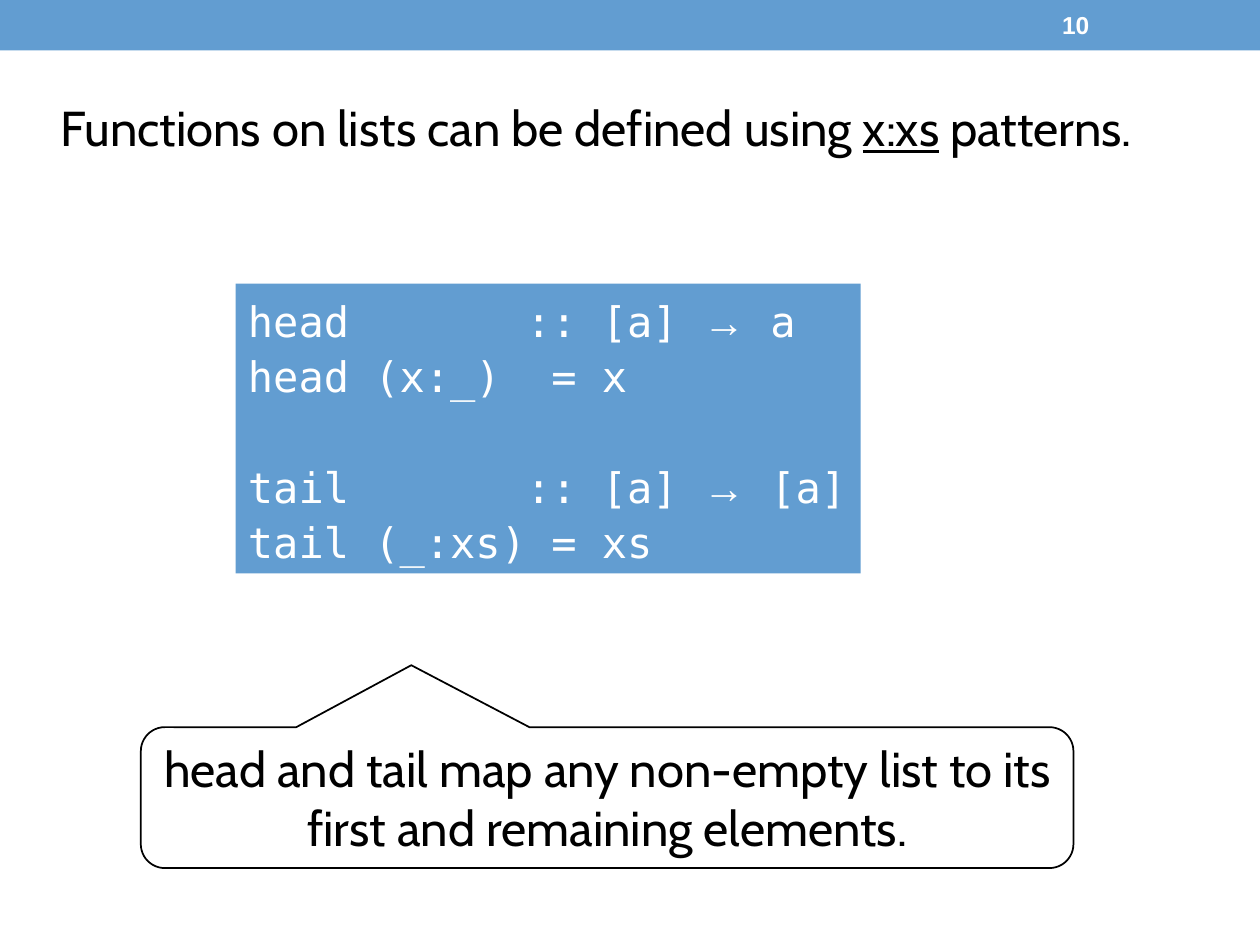
from dataclasses import dataclass

from pptx import Presentation
from pptx.dml.color import RGBColor
from pptx.enum.shapes import MSO_SHAPE as SHAPE
from pptx.enum.text import MSO_ANCHOR as ANCHOR, MSO_AUTO_SIZE as FIT, PP_ALIGN as ALIGN
from pptx.util import Cm, Pt


@dataclass(frozen=True)
class Theme:
    blue: RGBColor = RGBColor(0x62, 0x9D, 0xD1)
    black: RGBColor = RGBColor(0, 0, 0)
    white: RGBColor = RGBColor(255, 255, 255)
    body: str = "Cabin"
    code: str = "DejaVu Sans Mono"
    symbol: str = "Times New Roman"
    number: str = "Arial"
    body_size: int = 28
    code_size: int = 24
    number_size: int = 14


T = Theme()


def write(tf, lines, font=T.body, size=T.body_size, color=T.black, bold=False,
          align=ALIGN.LEFT, spacing=1.0, wrap=True):
    """Fill a frame; each line is a list of (text, font overrides) runs."""
    tf.word_wrap = wrap
    tf.auto_size = FIT.NONE
    tf.vertical_anchor = ANCHOR.MIDDLE
    for i, runs in enumerate(lines):
        p = tf.paragraphs[0] if i == 0 else tf.add_paragraph()
        p.alignment, p.line_spacing = align, spacing
        p.font.size = Pt(size)
        for text, extra in runs:
            r = p.add_run()
            r.text = text
            r.font.name = extra.get("font", font)
            r.font.size = Pt(size)
            r.font.bold = bold
            r.font.underline = extra.get("underline", False)
            r.font.color.rgb = color


def add_box(s, kind, left, top, width, height, fill=None, line=None):
    sp = s.shapes.add_shape(kind, Cm(left), Cm(top), Cm(width), Cm(height))
    sp.shadow.inherit = False
    if fill is None:
        sp.fill.background()
    else:
        sp.fill.solid()
        sp.fill.fore_color.rgb = fill
    if line is None:
        sp.line.fill.background()
    else:
        sp.line.color.rgb = line
        sp.line.width = Pt(1)
    return sp


prs = Presentation()
prs.slide_width, prs.slide_height = Cm(25.4), Cm(19.05)
s = prs.slides.add_slide(prs.slide_layouts[5])

# Top band with slide number
add_box(s, SHAPE.RECTANGLE, 0, 0, 25.4, 1.02, fill=T.blue)
number = s.shapes.add_textbox(Cm(21.16), Cm(0.05), Cm(2.97), Cm(0.91))
write(number.text_frame, [[("10", {})]], font=T.number, size=T.number_size,
      color=T.white, bold=True)

# Title
title = s.shapes.title
title.left, title.top, title.width, title.height = Cm(0.97), Cm(1.83), Cm(23.85), Cm(1.45)
write(title.text_frame, [[("Functions on lists can be defined using ", {}),
                          ("x:xs", {"underline": True}),
                          (" patterns.", {})]])

# Code panel
arrow = ("→", {"font": T.symbol})
code = [
    [("head       :: [a] ", {}), arrow, (" a", {})],
    [("head (x:_)  = x", {})],
    [],
    [("tail       :: [a] ", {}), arrow, (" [a]", {})],
    [("tail (_:xs) = xs", {})],
]
panel = add_box(s, SHAPE.RECTANGLE, 4.75, 5.72, 12.6, 5.84, fill=T.blue)
write(panel.text_frame, code, font=T.code, size=T.code_size, color=T.white,
      spacing=1.1, wrap=False)

# Callout pointing at the code
callout = add_box(s, SHAPE.ROUNDED_RECTANGULAR_CALLOUT, 2.84, 14.66, 18.8, 2.84, line=T.black)
for i, value in enumerate((-0.21, -0.94, 0.17)):
    callout.adjustments[i] = value
write(callout.text_frame,
      [[("head and tail map any non-empty list to its first and remaining elements.", {})]],
      align=ALIGN.CENTER)

prs.save("out.pptx")
